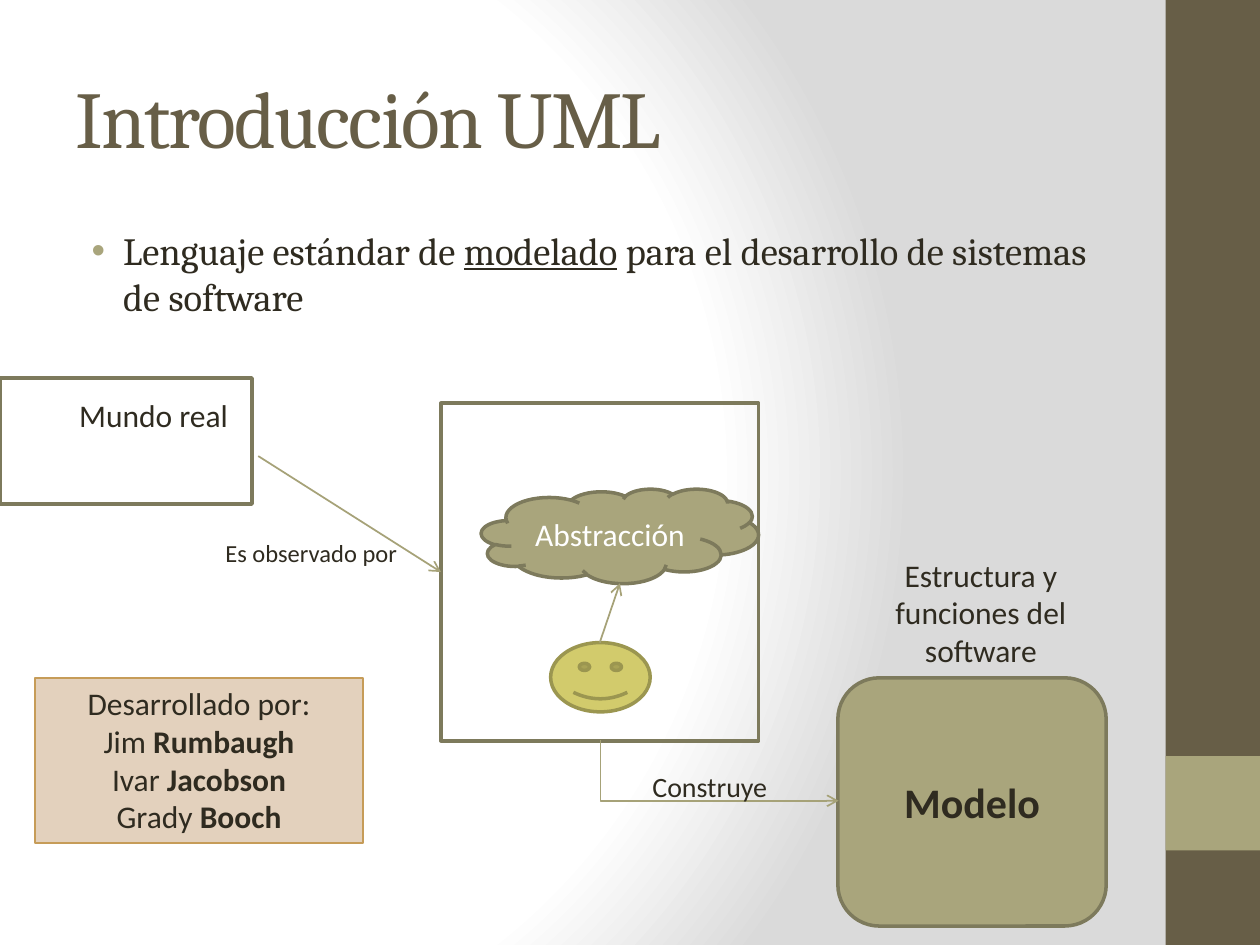
from lxml.etree import SubElement
from pptx import Presentation
from pptx.dml.color import RGBColor
from pptx.enum.shapes import MSO_CONNECTOR, MSO_SHAPE
from pptx.enum.text import MSO_ANCHOR, PP_ALIGN
from pptx.oxml import parse_xml
from pptx.oxml.ns import nsdecls, qn
from pptx.util import Inches, Pt

DARK, BROWN, OLIVE, OUTLINE = "2F2B20", "675E47", "A9A57C", "7D7A5C"


def paint(shape, fill=None, line=None, width=2):
    for part, color in ((shape.fill, fill), (shape.line.fill, line)):
        if color:
            part.solid()
            part.fore_color.rgb = RGBColor.from_string(color)
        else:
            part.background()
    if line:
        shape.line.width = Pt(width)
    shape.shadow.inherit = False


def write(shape, paragraphs, size, color=DARK, font="Calibri",
          align=PP_ALIGN.LEFT, anchor=MSO_ANCHOR.TOP):
    frame = shape.text_frame
    frame.word_wrap = True
    frame.vertical_anchor = anchor
    frame.text = "\n".join("".join(parts) for parts in paragraphs)
    for para, parts in zip(frame.paragraphs, paragraphs):
        para.alignment = align
        para.text = parts[0]
        for part in parts[1:]:
            para.add_run().text = part
        for span in para.runs:
            span.font.size = Pt(size)
            span.font.name = font
            span.font.color.rgb = RGBColor.from_string(color)
    return frame


deck = Presentation()
deck.slide_width, deck.slide_height = Inches(10), Inches(7.5)
page = deck.slides.add_slide(deck.slide_layouts[6])
shapes = page.shapes

page.background.fill.solid()
solid = page.element.find(".//" + qn("p:bgPr")).find(qn("a:solidFill"))
stops = "".join(
    f'<a:gs pos="{place * 1000}"><a:srgbClr val="{color}"/></a:gs>'
    for place, color in ((0, "FFFFFF"), (75, "FFFFFF"), (100, "DADADA")))
solid.getparent().replace(solid, parse_xml(
    f'<a:gradFill {nsdecls("a")} rotWithShape="1"><a:gsLst>{stops}</a:gsLst>'
    '<a:path path="circle"><a:fillToRect l="20000" t="50000" r="100000" b="50000"/>'
    '</a:path></a:gradFill>'))

for top, height, color in ((0, 7.5, BROWN), (6, 0.75, OLIVE)):
    band = shapes.add_shape(MSO_SHAPE.RECTANGLE, Inches(9.25), Inches(top),
                            Inches(0.75), Inches(height))
    paint(band, color)

title = shapes.add_textbox(Inches(0.5), Inches(0.3), Inches(8.33), Inches(1.25))
frame = write(title, [["Introducción UML"]], 46, BROWN, "Cambria", anchor=MSO_ANCHOR.MIDDLE)
frame.paragraphs[0].runs[0].font._element.set("spc", "-100")

body = shapes.add_textbox(Inches(0.5), Inches(1.75), Inches(8.33), Inches(5.25))
frame = write(body, [["Lenguaje estándar de ", "modelado",
                      " para el desarrollo de sistemas de software"]], 22, font="Cambria")
para = frame.paragraphs[0]
para.runs[1].font.underline = True
para.space_before = Pt(4.4)
bullet = para._p.get_or_add_pPr()
bullet.set("marL", str(Inches(0.38)))
bullet.set("indent", str(Inches(-0.25)))
SubElement(SubElement(bullet, qn("a:buClr")), qn("a:srgbClr")).set("val", OLIVE)
SubElement(bullet, qn("a:buFont")).set("typeface", "Arial")
SubElement(bullet, qn("a:buChar")).set("char", "•")

world_outline = [
    (0.35, 2.95), (0.39, 3.33), (0.44, 3.71), (0.46, 3.73), (0.49, 3.74), (0.64, 3.73),
    (0.79, 3.71), (0.85, 3.67), (0.89, 3.64), (0.94, 3.6), (0.97, 3.59), (1.03, 3.64),
    (1.08, 3.71), (1.11, 3.77), (1.18, 3.89), (1.19, 3.95), (1.23, 4.03), (1.3, 4.14),
    (1.34, 4.18), (1.39, 4.27), (1.45, 4.29), (1.56, 4.26), (1.64, 4.18), (1.68, 4.16),
    (1.75, 4.11), (1.89, 3.97), (1.93, 3.89), (1.96, 3.85), (1.97, 3.79), (2, 3.75),
    (2.01, 3.71), (2.04, 3.66), (2.05, 3.62), (2.1, 3.52), (2.15, 3.45), (2.2, 3.4),
    (2.22, 3.34), (2.24, 3.26), (2.23, 3.17), (2.19, 3.11), (2.18, 3.07), (2.13, 2.96),
    (2.12, 2.9), (2.08, 2.86), (2.03, 2.83), (1.96, 2.82), (1.61, 2.81), (1.26, 2.81),
    (1.16, 2.79), (1.08, 2.77), (1.05, 2.73), (1, 2.7), (0.92, 2.67), (0.82, 2.67),
    (0.72, 2.68), (0.7, 2.72), (0.68, 2.77), (0.64, 2.79), (0.63, 2.87), (0.64, 2.82),
    (0.67, 2.78), (0.63, 2.77), (0.58, 2.79), (0.53, 2.82), (0.45, 2.88), (0.39, 2.9),
    (0.37, 3.04)]
builder = shapes.build_freeform(*world_outline[0], scale=Inches(1))
builder.add_line_segments(world_outline[1:], close=False)
paint(builder.convert_to_shape(), line=OUTLINE)

centred = {"align": PP_ALIGN.CENTER, "anchor": MSO_ANCHOR.MIDDLE}
for kind, left, top, width, height, fill, line, text, size, color in (
        (MSO_SHAPE.ROUNDED_RECTANGLE, 6.65, 5.38, 2.13, 1.97, OLIVE, OUTLINE, "Modelo", 24, DARK),
        (MSO_SHAPE.CLOUD, 3.82, 3.88, 2.2, 0.75, OLIVE, OUTLINE, "Abstracción", 18, "FFFFFF"),
        (MSO_SHAPE.SMILEY_FACE, 4.37, 5.1, 0.79, 0.55, "D2CB6C", "9B9650", "", 18, DARK),
        (MSO_SHAPE.RECTANGLE, 3.5, 3.2, 2.52, 2.68, None, OUTLINE, "", 18, DARK)):
    node = shapes.add_shape(kind, Inches(left), Inches(top), Inches(width), Inches(height))
    paint(node, fill, line)
    if text:
        frame = write(node, [[text]], size, color, **centred)
        frame.paragraphs[0].runs[0].font.bold = text == "Modelo"

for kind, *ends in (
        (MSO_CONNECTOR.STRAIGHT, 2.05, 3.62, 3.5, 4.54),
        (MSO_CONNECTOR.STRAIGHT, 4.76, 5.1, 4.92, 4.63),
        (MSO_CONNECTOR.ELBOW, 5.47, 5.17, 5.95, 7.06)):
    arrow = shapes.add_connector(kind, *map(Inches, ends))
    arrow.line.color.rgb = RGBColor.from_string("A6A278")
    arrow.line.width = Pt(1)
    properties = arrow._element.spPr
    SubElement(properties.find(qn("a:ln")), qn("a:tailEnd")).set("type", "arrow")
    SubElement(properties, qn("a:effectLst"))
    if kind == MSO_CONNECTOR.ELBOW:
        properties.find(qn("a:prstGeom")).set("prst", "bentConnector2")
        turn = properties.find(qn("a:xfrm"))
        turn.set("rot", str(270 * 60000))
        turn.set("flipH", "1")

for text, left, top, width, height, size, align in (
        ("Mundo real", 0.53, 3.09, 1.57, 0.4, 18, PP_ALIGN.LEFT),
        ("Es observado por", 1.69, 4.22, 1.73, 0.34, 14, PP_ALIGN.LEFT),
        ("Construye", 5.08, 6.06, 1.57, 0.37, 16, PP_ALIGN.LEFT),
        ("Estructura y funciones del software", 6.92, 4.36, 1.73, 1.01, 18, PP_ALIGN.CENTER)):
    label = shapes.add_textbox(Inches(left), Inches(top), Inches(width), Inches(height))
    write(label, [[text]], size, align=align)

authors = shapes.add_shape(MSO_SHAPE.RECTANGLE, Inches(0.28), Inches(5.38),
                           Inches(2.6), Inches(1.31))
paint(authors, "E3D1BD", "C69C58", 1)
frame = write(authors, [["Desarrollado por:"], ["Jim ", "Rumbaugh"], ["Ivar ", "Jacobson"],
                        ["Grady ", "Booch"]], 18, align=PP_ALIGN.CENTER)
for para in frame.paragraphs[1:]:
    para.runs[1].font.bold = True

deck.save("out.pptx")
